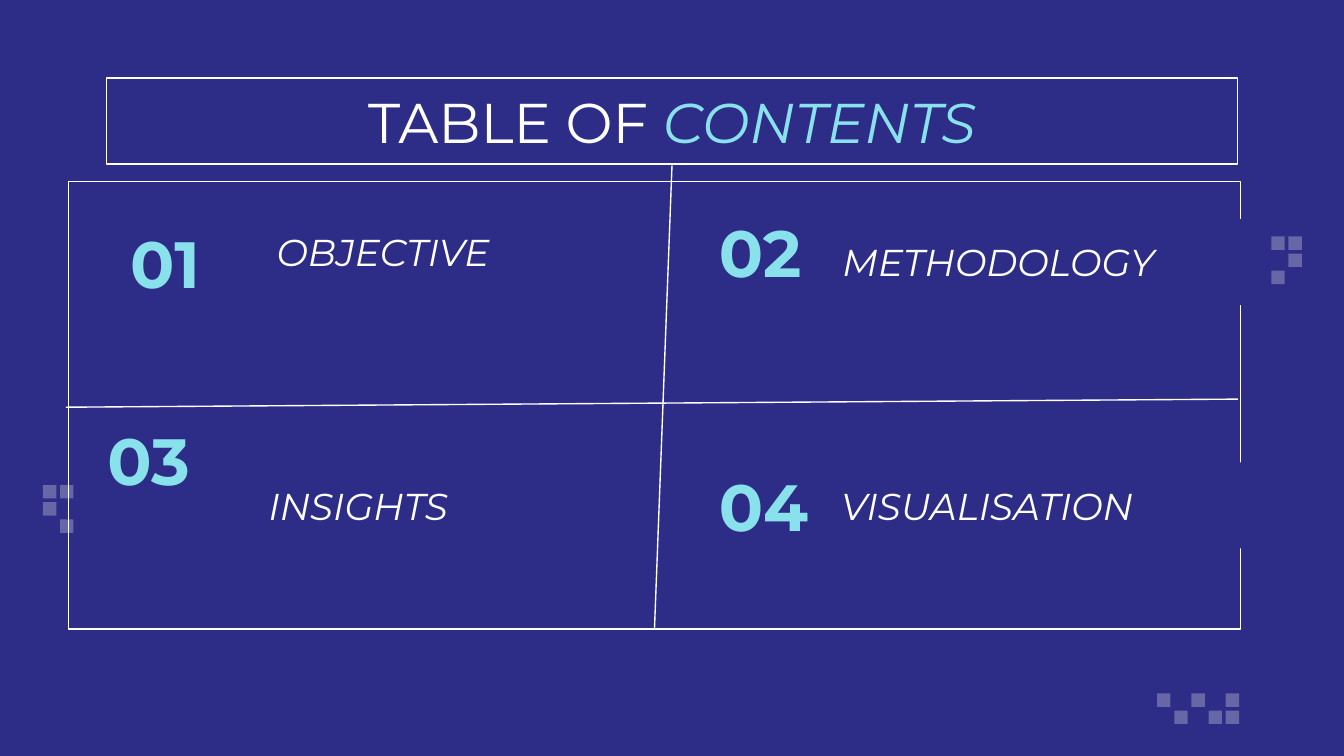
from dataclasses import dataclass

from lxml import etree
from pptx import Presentation
from pptx.dml.color import RGBColor
from pptx.enum.shapes import MSO_CONNECTOR, MSO_SHAPE
from pptx.enum.text import MSO_ANCHOR as ANCHOR, PP_ALIGN as ALIGN
from pptx.oxml.ns import qn
from pptx.util import Inches, Pt


@dataclass(frozen=True)
class Theme:
    font: str = "Montserrat"
    navy: RGBColor = RGBColor(0x2D, 0x2D, 0x87)
    white: RGBColor = RGBColor(0xFF, 0xFF, 0xFF)
    aqua: RGBColor = RGBColor(0x89, 0xE1, 0xEC)
    number_size: int = 35
    title_size: int = 30
    label_size: int = 20
    line_width: float = 0.75
    square_alpha: int = 28


class SlideBuilder:
    def __init__(self, slide, theme):
        self.slide = slide
        self.theme = theme
        fill = slide.background.fill
        fill.solid()
        fill.fore_color.rgb = theme.navy

    def rect(self, left, top, width, height, fill=None, outlined=False):
        sp = self.slide.shapes.add_shape(
            MSO_SHAPE.RECTANGLE, Inches(left), Inches(top), Inches(width), Inches(height))
        sp.shadow.inherit = False
        if fill is None:
            sp.fill.background()
        else:
            sp.fill.solid()
            sp.fill.fore_color.rgb = fill
        if outlined:
            sp.line.color.rgb = self.theme.white
            sp.line.width = Pt(self.theme.line_width)
        else:
            sp.line.fill.background()
        return sp

    def squares(self, left, top, cells, size=0.1, step=0.51 / 4):
        for col, row in cells:
            sp = self.rect(left + col * step, top + row * step, size, size, self.theme.white)
            color = sp._element.spPr.find(qn("a:solidFill"))[0]
            etree.SubElement(color, qn("a:alpha"), val=str(self.theme.square_alpha * 1000))

    def text(self, box, runs, size, align=ALIGN.LEFT, inset=0.1, right=None, outlined=False):
        sp = self.rect(*box, fill=self.theme.navy, outlined=outlined)
        tf = sp.text_frame
        tf.word_wrap = True
        tf.vertical_anchor = ANCHOR.MIDDLE
        tf.margin_left = tf.margin_top = tf.margin_bottom = Inches(inset)
        tf.margin_right = Inches(inset if right is None else right)
        p = tf.paragraphs[0]
        p.alignment = align
        for words, color, bold, italic in runs:
            r = p.add_run()
            r.text = words
            r.font.name = self.theme.font
            r.font.size = Pt(size)
            r.font.color.rgb = color
            r.font.bold = bold
            r.font.italic = italic

    def number(self, left, top, words):
        self.text((left, top, 0.92, 0.64), [(words, self.theme.aqua, True, False)],
                  self.theme.number_size)

    def label(self, left, top, width, words):
        self.text((left, top, width, 0.64), [(words, self.theme.white, False, True)],
                  self.theme.label_size, right=0.7)

    def title(self, plain, accent):
        runs = [(plain, self.theme.white, False, False), (accent, self.theme.aqua, False, True)]
        self.text((0.79, 0.58, 8.42, 0.64), runs, self.theme.title_size,
                  ALIGN.CENTER, inset=0.25, outlined=True)

    def line(self, x1, y1, x2, y2):
        cn = self.slide.shapes.add_connector(
            MSO_CONNECTOR.STRAIGHT, Inches(x1), Inches(y1), Inches(x2), Inches(y2))
        cn.line.color.rgb = self.theme.white
        cn.line.width = Pt(self.theme.line_width)
        etree.SubElement(cn._element.spPr, qn("a:effectLst"))


def main():
    prs = Presentation()
    prs.slide_width = Inches(10)
    prs.slide_height = Inches(10 * 9 / 16)
    s = SlideBuilder(prs.slides.add_slide(prs.slide_layouts[6]), Theme())

    s.squares(9.46, 1.76, [(0, 0), (1, 0), (1, 1), (0, 2)])
    s.squares(8.61, 5.16, [(0, 0), (1, 1), (2, 0), (3, 1), (4, 0), (4, 1)])
    s.squares(0.32, 3.61, [(0, 0), (1, 0), (0, 1), (1, 2)])
    s.rect(0.51, 1.35, 8.72, 3.33, outlined=True)

    for left, top, words in [(0.87, 1.63, "01"), (5.25, 1.55, "02"),
                             (0.7, 3.1, "03"), (5.25, 3.44, "04")]:
        s.number(left, top, words)
    for left, top, width, words in [(1.96, 1.55, 2.66, "OBJECTIVE"),
                                    (6.17, 1.63, 3.25, "METHODOLOGY"),
                                    (1.9, 3.44, 2.66, "INSIGHTS"),
                                    (6.16, 3.44, 3.25, "VISUALISATION")]:
        s.label(left, top, width, words)

    s.title("TABLE OF ", "CONTENTS")
    s.line(5, 1.23, 4.87, 4.68)
    s.line(0.49, 3.03, 9.21, 2.97)
    prs.save("out.pptx")


if __name__ == "__main__":
    main()
